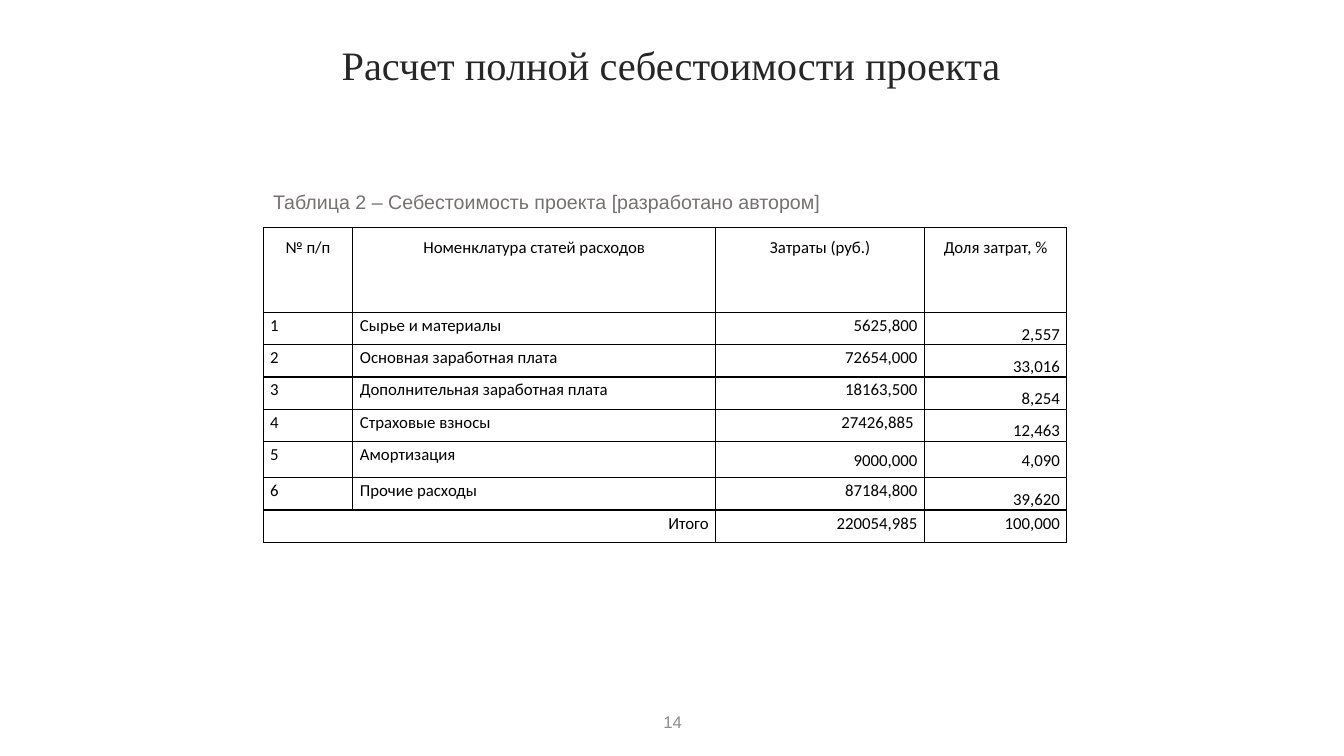
from typing import NamedTuple

from lxml import etree
from pptx import Presentation
from pptx.dml.color import RGBColor
from pptx.enum.text import MSO_ANCHOR, PP_ALIGN
from pptx.oxml.ns import qn
from pptx.util import Emu, Inches, Pt

LEFT, MID, RIGHT, JUST = (PP_ALIGN.LEFT, PP_ALIGN.CENTER,
                          PP_ALIGN.RIGHT, PP_ALIGN.JUSTIFY)
TOP, CENTER, BOTTOM = MSO_ANCHOR.TOP, MSO_ANCHOR.MIDDLE, MSO_ANCHOR.BOTTOM

WIDTH, HEIGHT = Inches(13.33), Inches(7.5)
BLACK = "000000"


class Box(NamedTuple):
    """Place in percent of the slide's width and height."""
    x: float
    y: float
    w: float
    h: float


class Style(NamedTuple):
    font: str
    size: float
    color: str
    align: PP_ALIGN = LEFT
    lines: float = 1.0
    after: float = 0


class Cost(NamedTuple):
    name: str
    sum: str
    share: str
    anchors: tuple = (TOP, BOTTOM)


COSTS = [
    Cost("Сырье и материалы", "5625,800", "2,557"),
    Cost("Основная заработная плата", "72654,000", "33,016"),
    Cost("Дополнительная заработная плата", "18163,500", "8,254"),
    Cost("Страховые взносы", "27426,885 ", "12,463"),
    Cost("Амортизация", "9000,000", "4,090", (CENTER, CENTER)),
    Cost("Прочие расходы", "87184,800", "39,620"),
]
HEADS = ["№ п/п", "Номенклатура статей расходов", "Затраты (руб.)", "Доля затрат, %"]
TOTAL = ["Итого", "", "220054,985", "100,000"]
COLS = [6.68, 27, 15.53, 10.6]
ROWS = [11.2] + [4.27] * 4 + [4.8] + [4.27] * 2

HEAD = Style("Calibri", 12, BLACK, MID, 1.5, 10)
LABEL = HEAD._replace(align=JUST, lines=1.15)
VALUE = LABEL._replace(align=RIGHT)


def across(share: float) -> Emu:
    return Emu(round(WIDTH * share / 100))


def down(share: float) -> Emu:
    return Emu(round(HEIGHT * share / 100))


def place(box: Box) -> tuple:
    return across(box.x), down(box.y), across(box.w), down(box.h)


def paint(hue: str) -> RGBColor:
    return RGBColor.from_string(hue)


def write(frame, text: str, style: Style) -> None:
    frame.text = text
    para = frame.paragraphs[0]
    para.alignment = style.align
    para.line_spacing = style.lines
    para.space_before = Pt(0)
    para.space_after = Pt(style.after)
    for run in para.runs:
        run.font.name = style.font
        run.font.size = Pt(style.size)
        run.font.color.rgb = paint(style.color)


def label(slide, box: Box, text: str, style: Style, anchor=TOP) -> None:
    frame = slide.shapes.add_textbox(*place(box)).text_frame
    frame.word_wrap = True
    frame.vertical_anchor = anchor
    write(frame, text, style)


def border(cell, hue: str) -> None:
    props = cell._tc.get_or_add_tcPr()
    for side in ("lnL", "lnR", "lnT", "lnB"):
        line = etree.SubElement(props, qn("a:" + side), w=str(Pt(1)))
        fill = etree.SubElement(line, qn("a:solidFill"))
        etree.SubElement(fill, qn("a:srgbClr"), val=hue)


def fill_cell(cell, text: str, style: Style, anchor=TOP) -> None:
    cell.margin_left = cell.margin_right = Inches(0.07)
    cell.margin_top = cell.margin_bottom = 0
    cell.vertical_anchor = anchor
    border(cell, BLACK)
    cell.fill.background()
    write(cell.text_frame, text, style)


def add_costs(slide, x: float, y: float) -> None:
    box = Box(x, y, sum(COLS), sum(ROWS))
    table = slide.shapes.add_table(len(ROWS), len(COLS), *place(box)).table
    table.first_row = table.horz_banding = False
    for col, share in zip(table.columns, COLS):
        col.width = across(share)
    for row, share in zip(table.rows, ROWS):
        row.height = down(share)

    # Heads and total
    last = len(ROWS) - 1
    for col, (head, total) in enumerate(zip(HEADS, TOTAL)):
        fill_cell(table.cell(0, col), head, HEAD)
        fill_cell(table.cell(last, col), total, VALUE)
    table.cell(last, 0).merge(table.cell(last, 1))

    # Cost items
    for row, cost in enumerate(COSTS, 1):
        fill_cell(table.cell(row, 0), str(row), LABEL)
        fill_cell(table.cell(row, 1), cost.name, LABEL)
        fill_cell(table.cell(row, 2), cost.sum, VALUE, cost.anchors[0])
        fill_cell(table.cell(row, 3), cost.share, VALUE, cost.anchors[1])


def main() -> None:
    deck = Presentation()
    deck.slide_width, deck.slide_height = WIDTH, HEIGHT
    slide = deck.slides.add_slide(deck.slide_layouts[5])

    # Title
    title = slide.shapes.title
    title.left, title.top, title.width, title.height = place(Box(17.1, 5.2, 65.7, 7.5))
    title.text_frame.vertical_anchor = CENTER
    write(title.text_frame, "Расчет полной себестоимости проекта",
          Style("Times New Roman", 28.8, "262626", MID, 0.9))

    # Page number
    label(slide, Box(38.8, 92.8, 22.5, 5.3), "14",
          Style("Arial", 12, "8C8C8C", MID), CENTER)

    # Caption and table
    label(slide, Box(19.58, 24.8, 72.1, 5.2),
          "Таблица 2 – Себестоимость проекта [разработано автором]",
          Style("Arial", 14, "767171", LEFT, 0.9))
    add_costs(slide, 19.58, 30.13)

    deck.save("out.pptx")


if __name__ == "__main__":
    main()
